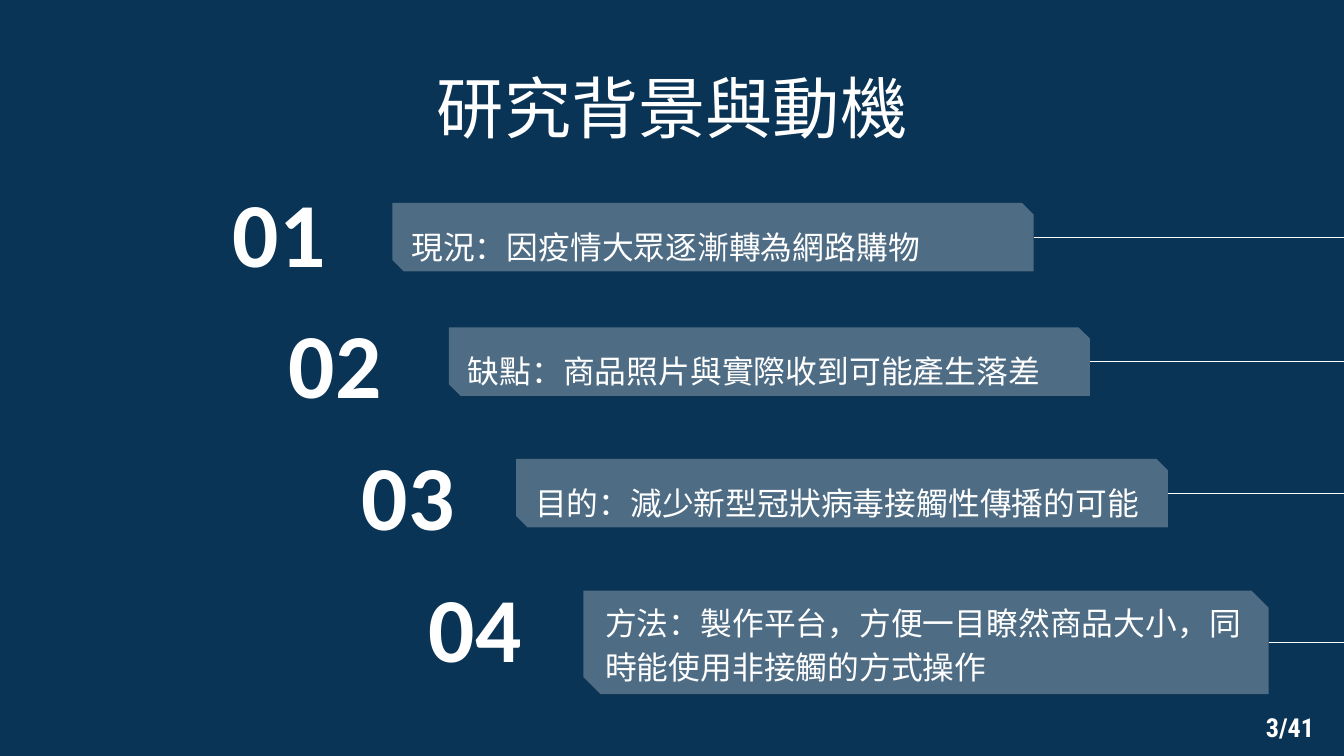
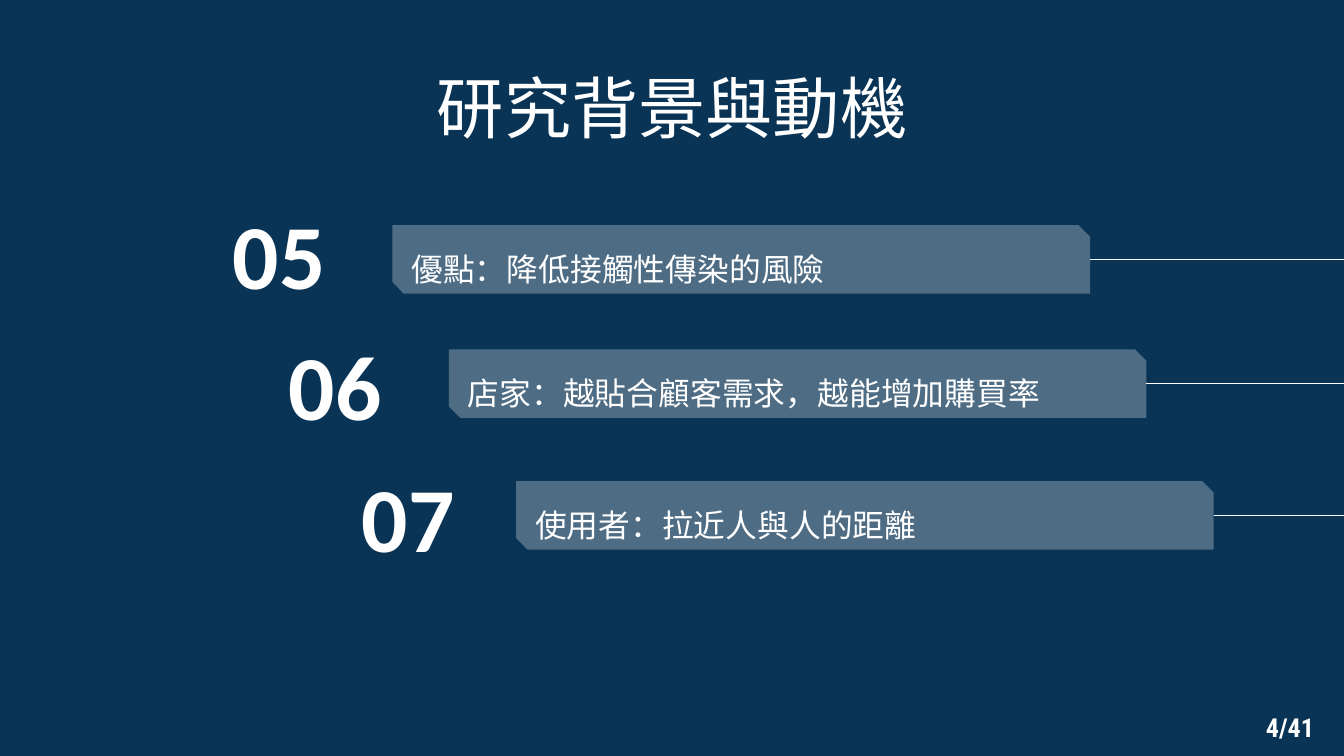
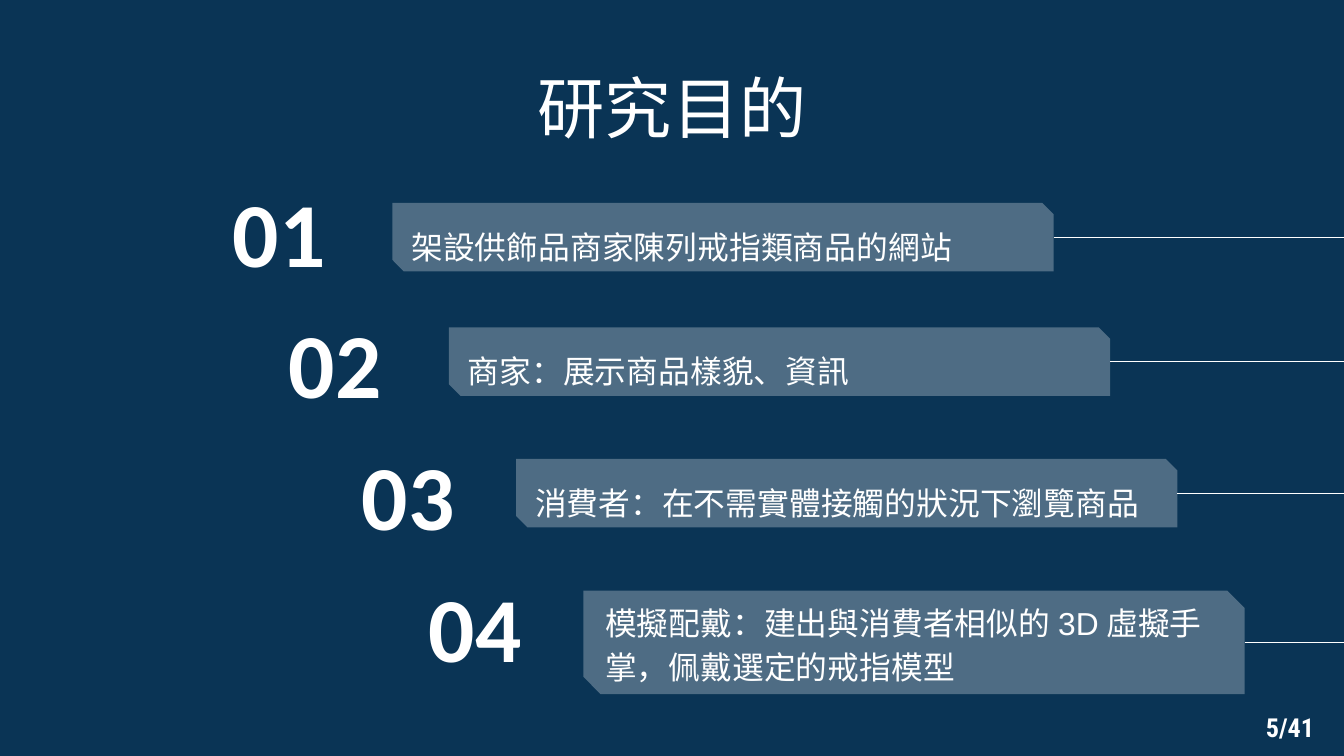
"""Build three staircase slides on research background and goals."""
from typing import NamedTuple

from lxml.etree import SubElement
from pptx import Presentation
from pptx.dml.color import RGBColor
from pptx.enum.shapes import MSO_CONNECTOR, MSO_SHAPE
from pptx.enum.text import MSO_ANCHOR, MSO_AUTO_SIZE, PP_ALIGN
from pptx.oxml.ns import qn
from pptx.util import Emu, Pt

EMU_PER_PX = 4572
SLIDE_WIDTH, SLIDE_HEIGHT = 2000, 1125
TEXT_INSET = 20
NUMBER_HEIGHT = 166
PAGE_TOTAL = 41
RIGHT_SIDE = 3
BAR_OPACITY = 28
COLORS = {"background": "0A3455", "foreground": "FFFFFF"}


class Box(NamedTuple):
    left: int
    top: int
    width: int
    height: int


class Step(NamedTuple):
    number_left: int
    number_top: int
    number_width: int
    number_align: PP_ALIGN
    bar_left: int
    bar_top: int
    bar_height: int
    line_spacing: float


class Item(NamedTuple):
    number: str
    text: str
    bar_width: int


class Page(NamedTuple):
    number: int
    title: str
    font: str
    shift: int
    items: list[Item]


TITLE_BOX = Box(430, 78, 1140, 206)
PAGE_NUMBER_BOX = Box(1864, 1038, 136, 88)
STEPS = [
    Step(112, 260, 392, PP_ALIGN.RIGHT, 584, 302, 102, 1.5),
    Step(306, 456, 386, PP_ALIGN.CENTER, 668, 487, 102, 1.5),
    Step(304, 652, 392, PP_ALIGN.RIGHT, 768, 683, 102, 1.5),
    Step(404, 848, 392, PP_ALIGN.RIGHT, 868, 879, 154, 1.15),
]
PAGES = [
    Page(3, "研究背景與動機", "Roboto", 0, [
        Item("01", "現況：因疫情大眾逐漸轉為網路購物", 954),
        Item("02", "缺點：商品照片與實際收到可能產生落差", 954),
        Item("03", "目的：減少新型冠狀病毒接觸性傳播的可能", 970),
        Item("04", "方法：製作平台，方便一目瞭然商品大小，同時能使用非接觸的方式操作", 1020),
    ]),
    Page(4, "研究背景與動機", "Roboto", 33, [
        Item("05", "優點：降低接觸性傳染的風險", 1038),
        Item("06", "店家：越貼合顧客需求，越能增加購買率", 1038),
        Item("07", "使用者：拉近人與人的距離", 1038),
    ]),
    Page(5, "研究目的", "Arial", 0, [
        Item("01", "架設供飾品商家陳列戒指類商品的網站", 984),
        Item("02", "商家：展示商品樣貌、資訊", 984),
        Item("03", "消費者：在不需實體接觸的狀況下瀏覽商品", 984),
        Item("04", "模擬配戴：建出與消費者相似的3D虛擬手掌，佩戴選定的戒指模型", 984),
    ]),
]


def px(value: int) -> Emu:
    return Emu(value * EMU_PER_PX)


def place(box: Box) -> list[Emu]:
    return [px(value) for value in box]


def color(name: str) -> RGBColor:
    return RGBColor.from_string(COLORS[name])


def write_text(shape, text: str, *, font: str, size: int, bold: bool = False,
               align: PP_ALIGN = PP_ALIGN.LEFT,
               anchor: MSO_ANCHOR = MSO_ANCHOR.TOP,
               line_spacing: float = 1.0,
               auto_size: MSO_AUTO_SIZE = MSO_AUTO_SIZE.NONE) -> None:
    frame = shape.text_frame
    frame.text = text
    frame.word_wrap = True
    frame.auto_size = auto_size
    frame.vertical_anchor = anchor
    frame.margin_left = frame.margin_right = px(TEXT_INSET)
    frame.margin_top = frame.margin_bottom = px(TEXT_INSET)
    paragraph = frame.paragraphs[0]
    paragraph.alignment = align
    paragraph.line_spacing = line_spacing
    run_font = paragraph.runs[0].font
    run_font.name = font
    run_font.size = Pt(size)
    run_font.bold = bold
    run_font.color.rgb = color("foreground")


def add_title(slide, text: str) -> None:
    title = slide.shapes.title
    title.left, title.top, title.width, title.height = place(TITLE_BOX)
    write_text(title, text, font="Calibri", size=36, align=PP_ALIGN.CENTER)


def add_number(slide, step: Step, text: str, shift: int) -> None:
    box = Box(step.number_left, step.number_top + shift,
              step.number_width, NUMBER_HEIGHT)
    number = slide.shapes.add_textbox(*place(box))
    write_text(number, text, font="Calibri", size=49, bold=True,
               align=step.number_align, anchor=MSO_ANCHOR.MIDDLE)


def add_bar(slide, step: Step, item: Item, page: Page):
    box = Box(step.bar_left, step.bar_top + page.shift,
              item.bar_width, step.bar_height)
    bar = slide.shapes.add_shape(MSO_SHAPE.SNIP_2_DIAG_RECTANGLE, *place(box))
    bar.adjustments[0] = 0
    bar.adjustments[1] = 0.167
    bar.shadow.inherit = False
    bar.line.fill.background()
    bar.fill.solid()
    bar.fill.fore_color.rgb = color("foreground")
    fill_color = bar.element.spPr.find(f".//{qn('a:srgbClr')}")
    SubElement(fill_color, qn("a:alpha"), val=str(BAR_OPACITY * 1000))
    write_text(bar, item.text, font=page.font, size=17,
               anchor=MSO_ANCHOR.MIDDLE, line_spacing=step.line_spacing)
    return bar


def add_edge_line(slide, bar) -> None:
    middle = bar.top + bar.height // 2
    line = slide.shapes.add_connector(
        MSO_CONNECTOR.STRAIGHT, bar.left + bar.width, middle,
        px(SLIDE_WIDTH), middle)
    line.begin_connect(bar, RIGHT_SIDE)
    line.end_y = line.begin_y
    line.line.color.rgb = color("foreground")
    line.line.width = Pt(0.75)
    SubElement(line.element.spPr, qn("a:effectLst"))


def add_page_number(slide, number: int) -> None:
    box = slide.shapes.add_textbox(*place(PAGE_NUMBER_BOX))
    write_text(box, f"{number}/{PAGE_TOTAL}", font="Roboto Condensed", size=14,
               bold=True, auto_size=MSO_AUTO_SIZE.SHAPE_TO_FIT_TEXT)


def add_page(presentation, page: Page) -> None:
    slide = presentation.slides.add_slide(
        presentation.slide_layouts.get_by_name("Title Only"))
    add_title(slide, page.title)
    for step, item in zip(STEPS, page.items):
        add_number(slide, step, item.number, page.shift)
        bar = add_bar(slide, step, item, page)
        add_edge_line(slide, bar)
    add_page_number(slide, page.number)


def main() -> None:
    presentation = Presentation()
    presentation.slide_width = px(SLIDE_WIDTH)
    presentation.slide_height = px(SLIDE_HEIGHT)
    background = presentation.slide_master.background.fill
    background.solid()
    background.fore_color.rgb = color("background")
    for page in PAGES:
        add_page(presentation, page)
    presentation.save("out.pptx")


if __name__ == "__main__":
    main()
